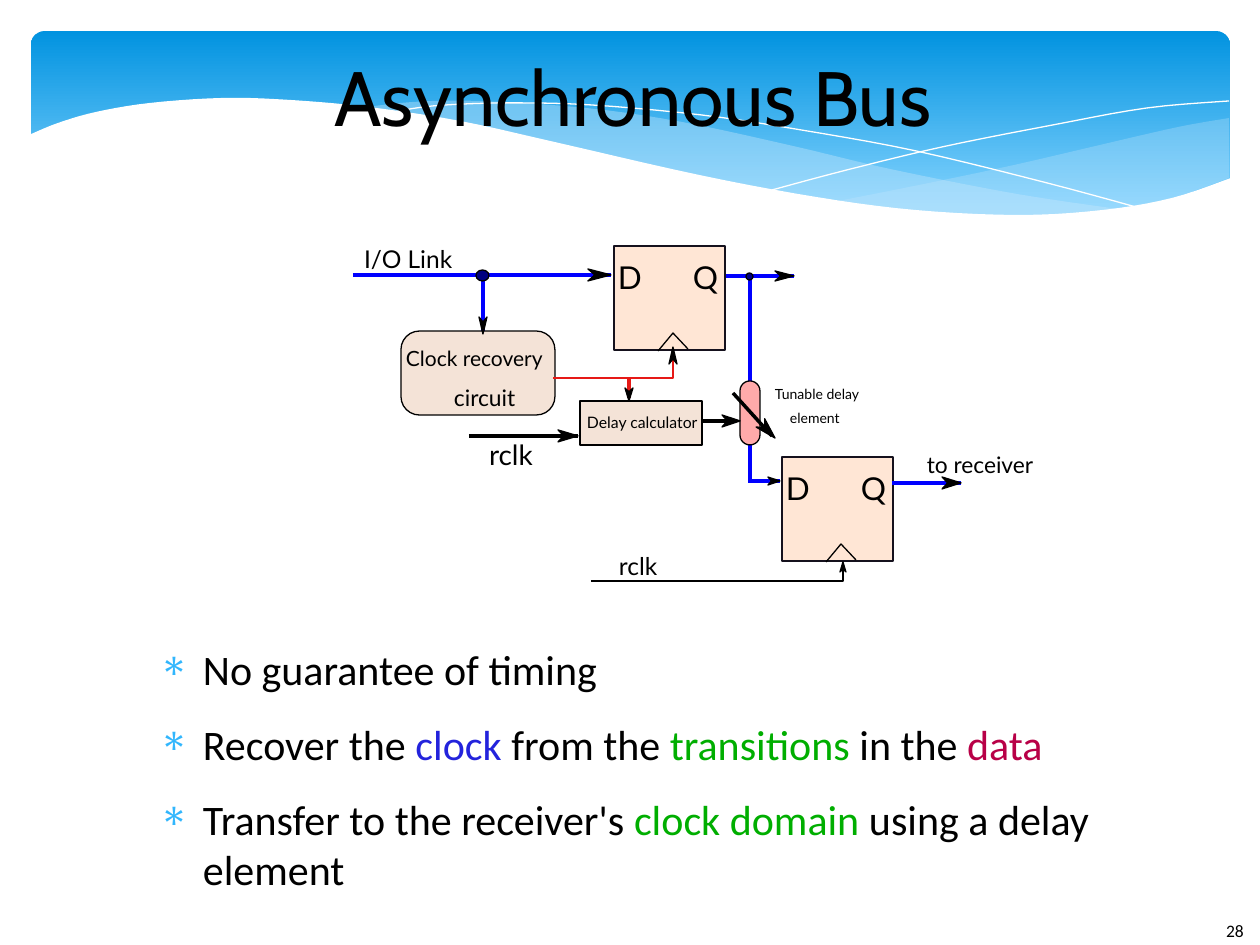
import dataclasses
import math
import typing

import pptx
import pptx.dml.color
import pptx.enum.shapes
import pptx.enum.text
import pptx.oxml.ns
import pptx.oxml.xmlchemy
import pptx.util

SCALE = 914400 / 126
KIND = pptx.enum.shapes.MSO_SHAPE
ALIGN = pptx.enum.text.PP_ALIGN
ANCHOR = pptx.enum.text.MSO_ANCHOR
BLACK, BLUE, RED, NAVY = "000000", "0000FF", "E61916", "000080"
SAND, PEACH, GREEN = "F4E3D7", "FFE6D5", "00AE00"


def px(num):
    """Turn px into EMU."""
    return pptx.util.Emu(round(num * SCALE))


def hue(code):
    """Turn a hex string into a colour."""
    return pptx.dml.color.RGBColor.from_string(code)


def add(node, tag, **attrs):
    """Append a drawing element to an XML node."""
    item = pptx.oxml.xmlchemy.OxmlElement(tag)
    for name, value in attrs.items():
        item.set(name, str(value))
    node.append(item)
    return item


def paint(shape, fill=None, line=None, alpha=None):
    """Set the fill and hairline of a shape."""
    shape.shadow.inherit = False
    if fill:
        shape.fill.solid()
        shape.fill.fore_color.rgb = hue(fill)
        if alpha:
            solid = shape._element.spPr.find(pptx.oxml.ns.qn("a:solidFill"))
            add(solid[0], "a:alpha", val=alpha * 1000)
    else:
        shape.fill.background()
    if line:
        shape.line.color.rgb = hue(line)
        shape.line.width = 0
    else:
        shape.line.fill.background()


def smooth(knots, steps=5):
    """Thread a Catmull-Rom curve through the knots."""
    ends = [knots[0], *knots, knots[-1]]
    out = [knots[0]]
    for a, b, c, d in zip(ends, ends[1:], ends[2:], ends[3:]):
        for step in range(1, steps + 1):
            t = step / steps
            out.append(tuple(
                q + t / 2 * (r - p + t * (2 * p - 5 * q + 4 * r - s + t * (3 * (q - r) + s - p)))
                for p, q, r, s in zip(a, b, c, d)))
    return out


@dataclasses.dataclass
class Pane:
    """A box on the slide that places parts from its own corner."""
    shapes: typing.Any
    x: int
    y: int
    w: int
    h: int

    def sub(self, x, y, w, h):
        """Return a box inside this one."""
        return Pane(self.shapes, self.x + x, self.y + y, w, h)

    def form(self, kind, x, y, w, h, fill, line=None, adj=None):
        """Place a preset shape."""
        shape = self.shapes.add_shape(kind, px(self.x + x), px(self.y + y), px(w), px(h))
        if adj is not None:
            shape.adjustments[0] = adj
        paint(shape, fill, line)
        return shape

    def trace(self, dots, fill=None, line=None, alpha=None):
        """Draw an outline through the dots, closed when filled."""
        spots = [(px(self.x + x), px(self.y + y)) for x, y in dots]
        pen = self.shapes.build_freeform(*spots[0])
        pen.add_line_segments(spots[1:], close=bool(fill))
        paint(pen.convert_to_shape(), fill, line, alpha)

    def wire(self, x1, y1, x2, y2, color):
        """Draw a straight hairline."""
        ends = [px(self.x + x1), px(self.y + y1), px(self.x + x2), px(self.y + y2)]
        line = self.shapes.add_connector(pptx.enum.shapes.MSO_CONNECTOR.STRAIGHT, *ends)
        line.line.color.rgb = hue(color)
        line.line.width = 0
        add(line._element.spPr, "a:effectLst")

    def tip(self, x, y, angle, size, half):
        """Draw a barbed arrowhead that ends at x, y."""
        cos, sin = math.cos(math.radians(angle)), math.sin(math.radians(angle))
        barb = [(0, 0), (-size, half), (-0.7 * size, 0), (-size, -half)]
        self.trace([(x + u * cos - v * sin, y + u * sin + v * cos) for u, v in barb], BLACK, BLACK)

    def text(self, words, x, y, w, h, size, font="Lato", color=BLACK, align=ALIGN.LEFT,
             anchor=ANCHOR.TOP, bullet=None, after=0):
        """Write paragraphs, each a string or a list of (text, colour) runs."""
        frame = self.shapes.add_textbox(px(self.x + x), px(self.y + y), px(w), px(h)).text_frame
        frame.word_wrap = True
        frame.vertical_anchor = anchor
        frame.margin_left = frame.margin_right = frame.margin_top = frame.margin_bottom = 0
        for num, item in enumerate([words] if isinstance(words, str) else words):
            para = frame.add_paragraph() if num else frame.paragraphs[0]
            para.alignment = align
            para.space_after = pptx.util.Pt(after)
            if bullet:
                prop = para._p.get_or_add_pPr()
                prop.set("marL", str(px(59)))
                prop.set("indent", str(px(-44)))
                add(add(prop, "a:buClr"), "a:srgbClr", val=bullet)
                add(prop, "a:buChar", char="∗")
            for part, tint in [(item, color)] if isinstance(item, str) else item:
                run = para.add_run()
                run.text = part
                run.font.size = pptx.util.Pt(size)
                run.font.name = font
                run.font.color.rgb = hue(tint)


def banner(pane):
    """Draw the blue gradient band with its waves."""
    band = pane.form(KIND.ROUNDED_RECTANGLE, 0, 0, pane.w, pane.h, "0293E0", adj=0.07)
    band.fill.gradient()
    band.fill.gradient_angle = 270
    for stop, code, pos in zip(band.fill.gradient_stops, ("0293E0", "83D3FE"), (0, 0.9)):
        stop.color.rgb = hue(code)
        stop.position = pos
    pale = "C6E7FC"
    pane.trace(
        smooth([(1198, 87), (1147, 96), (1073, 113), (983, 134), (888, 154), (802, 171)])
        + smooth([(802, 171), (875, 179), (953, 186), (1021, 186), (1079, 179), (1138, 168),
                  (1198, 147)]), pale, alpha=29)
    pane.trace(
        smooth([(1094, 179), (986, 163), (859, 138), (762, 115), (651, 91), (555, 77), (448, 70),
                (382, 71), (329, 77)])
        + smooth([(329, 77), (400, 87), (478, 103), (588, 128), (682, 149), (788, 168),
                  (879, 181), (958, 186), (1025, 186), (1094, 179)]), pale, alpha=40)
    pane.trace(smooth([(358, 82), (402, 75), (474, 72), (560, 74), (670, 84), (770, 99),
                       (885, 120), (1016, 152), (1112, 178)]), line="FFFFFF")
    pane.trace(smooth([(741, 159), (816, 139), (911, 116), (1022, 94), (1116, 77), (1198, 70)]),
               line="FFFFFF")
    edge = smooth([(1200, 147), (1141, 167), (1072, 179), (988, 184), (884, 179), (785, 166),
                   (668, 144), (532, 113), (429, 90), (337, 76), (259, 69), (192, 67), (119, 72),
                   (65, 81), (27, 92), (-2, 104)])
    pane.trace(edge + [(-2, 251), (1200, 251)], "FFFFFF")


def latch(pane):
    """Draw a D flip-flop."""
    pane.form(KIND.RECTANGLE, 0, 0, pane.w, pane.h, PEACH, "15111D")
    pane.text("D", 4, 12, 39, 44, 18)
    pane.text("Q", 79, 12, 40, 44, 18)
    pane.trace([(44, 105), (59, 87), (74, 103)], line=BLACK)


def circuit(pane):
    """Draw the clock recovery circuit."""
    latch(pane.sub(261, 1, 111, 104))
    latch(pane.sub(429, 212, 111, 104))
    for ends in [(0, 30, 258, 30), (397, 30, 397, 238), (373, 31, 441, 31), (396, 236, 427, 236),
                 (539, 238, 608, 238), (130, 30, 130, 89)]:
        pane.wire(*ends, BLUE)
    pane.form(KIND.ROUNDED_RECTANGLE, 48, 86, 154, 84, SAND, BLACK, 0.22)
    pane.form(KIND.RECTANGLE, 227, 156, 122, 44, SAND, BLACK)
    pane.form(KIND.ROUNDED_RECTANGLE, 387, 136, 20, 64, "FFAAAA", BLACK, 0.5)
    for ends in [(380, 148, 419, 191), (116, 191, 225, 191), (348, 176, 383, 176)]:
        pane.wire(*ends, BLACK)
    pane.wire(276, 133, 276, 153, RED)
    pane.trace([(200, 133), (320, 133), (320, 104)], line=RED)
    pane.trace([(238, 336), (490, 336), (490, 318)], line=BLACK)
    for head in [(258, 30, 0, 23, 6), (441, 31, 0, 19, 5), (427, 236, 0, 12, 4),
                 (608, 238, 0, 19, 6), (225, 191, 0, 20, 6), (387, 176, 0, 18, 6),
                 (422, 193, 46, 21, 6), (130, 89, 90, 17, 4), (276, 156, 90, 13, 4),
                 (320, 102, 270, 17, 4), (490, 317, 270, 10, 3)]:
        pane.tip(*head)
    for spot in [(393, 28, 7, 7), (123, 25, 13, 11)]:
        pane.form(KIND.OVAL, *spot, NAVY, BLACK)
    for label in [("I/O Link", 11, -1, 96, 33, 14), ("Clock recovery", 53, 101, 146, 25, 12),
                  ("circuit", 101, 139, 69, 30, 13), ("rclk", 136, 193, 55, 38, 16),
                  ("Delay calculator", 234, 168, 132, 23, 9),
                  ("Tunable delay", 422, 141, 106, 21, 8), ("element", 437, 165, 63, 21, 8),
                  ("to receiver", 574, 206, 125, 33, 13), ("rclk", 266, 306, 49, 33, 14)]:
        pane.text(*label)


def points(pane):
    """Write the bulleted list."""
    lines = [
        "No guarantee of timing",
        [("Recover the ", BLACK), ("clock", "2323DC"), (" from the ", BLACK),
         ("transitions", GREEN), (" in the ", BLACK), ("data", "B80047")],
        [("Transfer to the receiver's ", BLACK), ("clock domain", GREEN),
         (" using a delay element", BLACK)],
    ]
    pane.text(lines, 0, 0, pane.w, pane.h, 24, font="Calibri", bullet="31B6FD", after=14.1)


def main():
    """Build the slide and save it."""
    deck = pptx.Presentation()
    deck.slide_width, deck.slide_height = px(1260), px(945)
    page = Pane(deck.slides.add_slide(deck.slide_layouts[6]).shapes, 0, 0, 1260, 945)
    banner(page.sub(31, 31, 1199, 197))
    page.text("28", 1226, 920, 30, 24, 10, font="Calibri")
    page.text("Asynchronous Bus", 122, 31, 1022, 129, 44, font="Cabin", align=ALIGN.CENTER,
              anchor=ANCHOR.MIDDLE)
    points(page.sub(144, 643, 1085, 271))
    circuit(page.sub(353, 245, 700, 340))
    deck.save("out.pptx")


if __name__ == "__main__":
    main()
